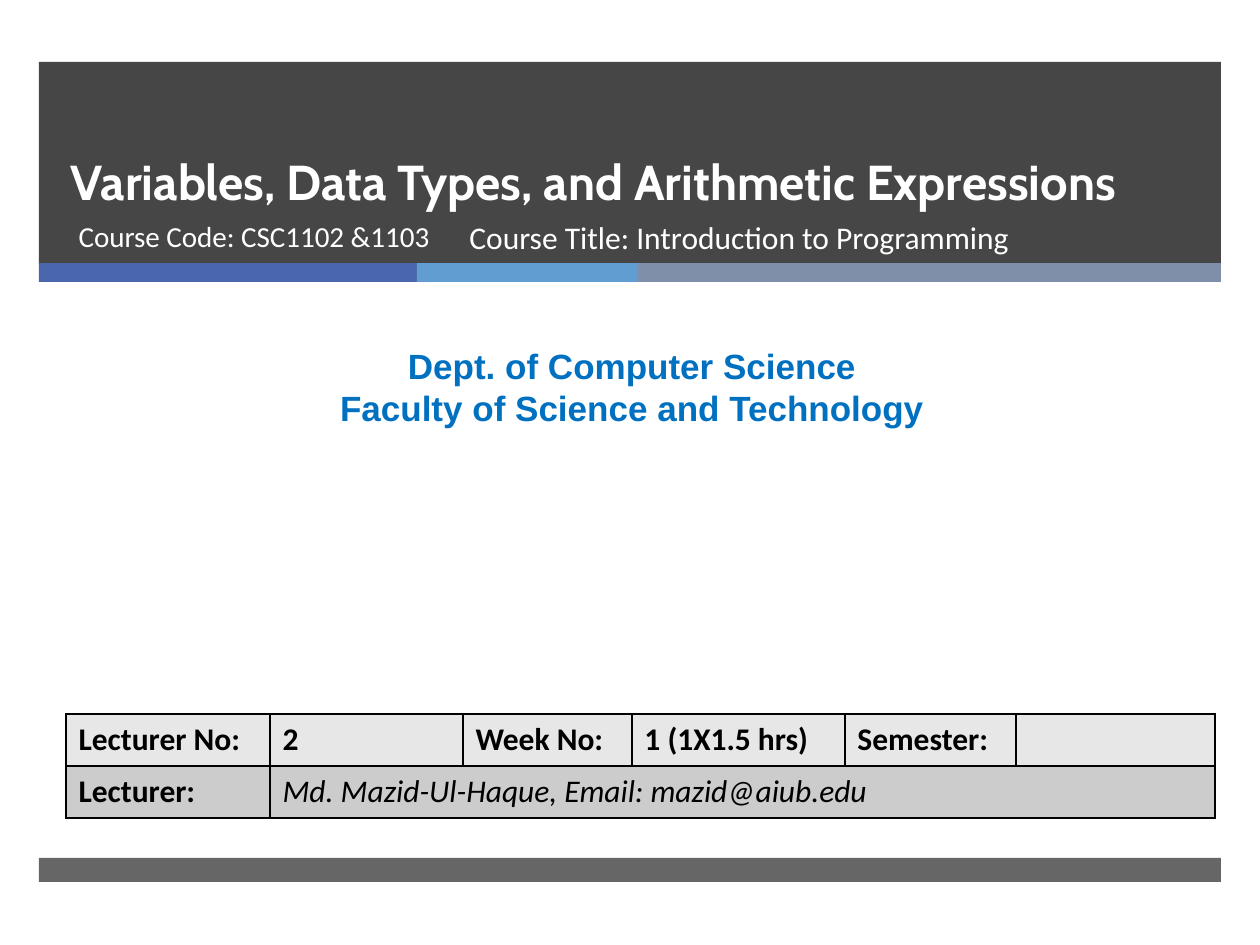
import pptx
import pptx.util
import pptx.dml.color
import pptx.enum.text
import pptx.enum.shapes
import pptx.oxml

RGB = pptx.dml.color.RGBColor
ALIGN = pptx.enum.text.PP_ALIGN
ANCHOR = pptx.enum.text.MSO_ANCHOR
DARK = RGB(0x26, 0x26, 0x26)
BLUE = RGB(0x4A, 0x66, 0xAC)
SKY = RGB(0x62, 0x9D, 0xD1)
SLATE = RGB(0x7F, 0x8F, 0xA9)
DEPT = RGB(0x00, 0x70, 0xC0)
WHITE = RGB(0xFF, 0xFF, 0xFF)
BLACK = RGB(0x00, 0x00, 0x00)
LIGHT = RGB(0xE7, 0xE7, 0xE7)
GREY = RGB(0xCC, 0xCC, 0xCC)
NS = 'xmlns:a="http://schemas.openxmlformats.org/drawingml/2006/main"'


def px(n):
    return pptx.util.Emu(round(n * 914400 / 126))


class Deck:
    """Hold the slide and its style, and add each kind of element."""

    def __init__(self, wide, high):
        self.prs = pptx.Presentation()
        self.prs.slide_width, self.prs.slide_height = px(wide), px(high)
        self.slide = self.prs.slides.add_slide(self.prs.slide_layouts[0])
        self.font = "Calibri"

    def bar(self, x, y, w, h, color, alpha=100):
        kind = pptx.enum.shapes.MSO_SHAPE.RECTANGLE
        shape = self.slide.shapes.add_shape(kind, px(x), px(y), px(w), px(h))
        shape.shadow.inherit = False
        shape.fill.solid()
        shape.fill.fore_color.rgb = color
        shape.line.fill.background()
        if alpha < 100:
            tint = shape.element.spPr.find(".//{*}srgbClr")
            tint.append(pptx.oxml.parse_xml(f'<a:alpha {NS} val="{alpha * 1000}"/>'))

    def style(self, frame, size, color, bold=False, italic=False, font=None,
              align=ALIGN.LEFT, lead=None):
        for par in frame.paragraphs:
            par.alignment = align
            par.space_before = pptx.util.Pt(0)
            if lead:
                par.line_spacing = pptx.util.Pt(lead)
            for run in par.runs:
                face = run.font
                face.name = font or self.font
                face.size = pptx.util.Pt(size)
                face.bold, face.italic = bold, italic
                face.color.rgb = color

    def fit(self, shape, x, y, w, h, text, anchor=ANCHOR.TOP, **look):
        shape.left, shape.top, shape.width, shape.height = px(x), px(y), px(w), px(h)
        frame = shape.text_frame
        frame.text = text
        frame.word_wrap = True
        frame.auto_size = pptx.enum.text.MSO_AUTO_SIZE.NONE
        frame.vertical_anchor = anchor
        self.style(frame, **look)

    def holder(self, index, *args, **look):
        shape = self.slide.placeholders[index]
        shape.element.getparent().append(shape.element)
        self.fit(shape, *args, **look)

    def label(self, *args, **look):
        shape = self.slide.shapes.add_textbox(0, 0, 0, 0)
        self.fit(shape, *args, **look)

    def edge(self, cell):
        props = cell._tc.get_or_add_tcPr()
        for at, side in enumerate(("lnL", "lnR", "lnT", "lnB")):
            props.insert(at, pptx.oxml.parse_xml(
                f'<a:{side} {NS} w="12700"><a:solidFill>'
                f'<a:srgbClr val="{BLACK}"/></a:solidFill></a:{side}>'))

    def table(self, x, y, cols, high, rows, fills):
        grid = self.slide.shapes.add_table(
            len(rows), len(cols), px(x), px(y), px(sum(cols)), px(high * len(rows))).table
        for col, wide in zip(grid.columns, cols):
            col.width = px(wide)
        for r, (row, fill) in enumerate(zip(rows, fills)):
            grid.rows[r].height = px(high)
            for c, text in enumerate(row):
                cell = grid.cell(r, c)
                cell.text = text
                cell.fill.solid()
                cell.fill.fore_color.rgb = fill
                self.edge(cell)
                name = r == 1 and c == 1
                self.style(cell.text_frame, 18, BLACK, bold=not name, italic=name)
        grid.cell(1, 1).merge(grid.cell(1, len(cols) - 1))


def main():
    deck = Deck(1260, 945)
    left, wide = 39, 1182
    deck.bar(left, 62, wide, 202, DARK, 85)
    x = left
    for w, color in ((378, BLUE), (221, SKY), (583, SLATE)):
        deck.bar(x, 263, w, 19, color)
        x += w
    deck.bar(left, 858, wide, 24, DARK, 70)
    deck.holder(0, 58, 67, 1076, 150, "Variables, Data Types, and Arithmetic Expressions",
                anchor=ANCHOR.BOTTOM, size=28, color=WHITE, bold=True, font="Cabin", lead=46)
    deck.holder(1, 66, 212, 404, 67, "Course Code: CSC1102 &1103", size=16.6, color=WHITE)
    deck.label(10, 338, 1244, 97, "Dept. of Computer Science\nFaculty of Science and Technology",
               size=20, color=DEPT, bold=True, font="Arial", align=ALIGN.CENTER, lead=24)
    deck.table(66, 714, (204, 193, 169, 213, 171, 199), 52, (
        ("Lecturer No:", "2", "Week No:", "1 (1X1.5 hrs)", "Semester:", ""),
        ("Lecturer:", "Md. Mazid-Ul-Haque, Email: mazid@aiub.edu", "", "", "", ""),
    ), (LIGHT, GREY))
    deck.label(457, 212, 573, 67, "Course Title: Introduction to Programming",
               size=18, color=WHITE)
    deck.prs.save("out.pptx")


if __name__ == "__main__":
    main()
